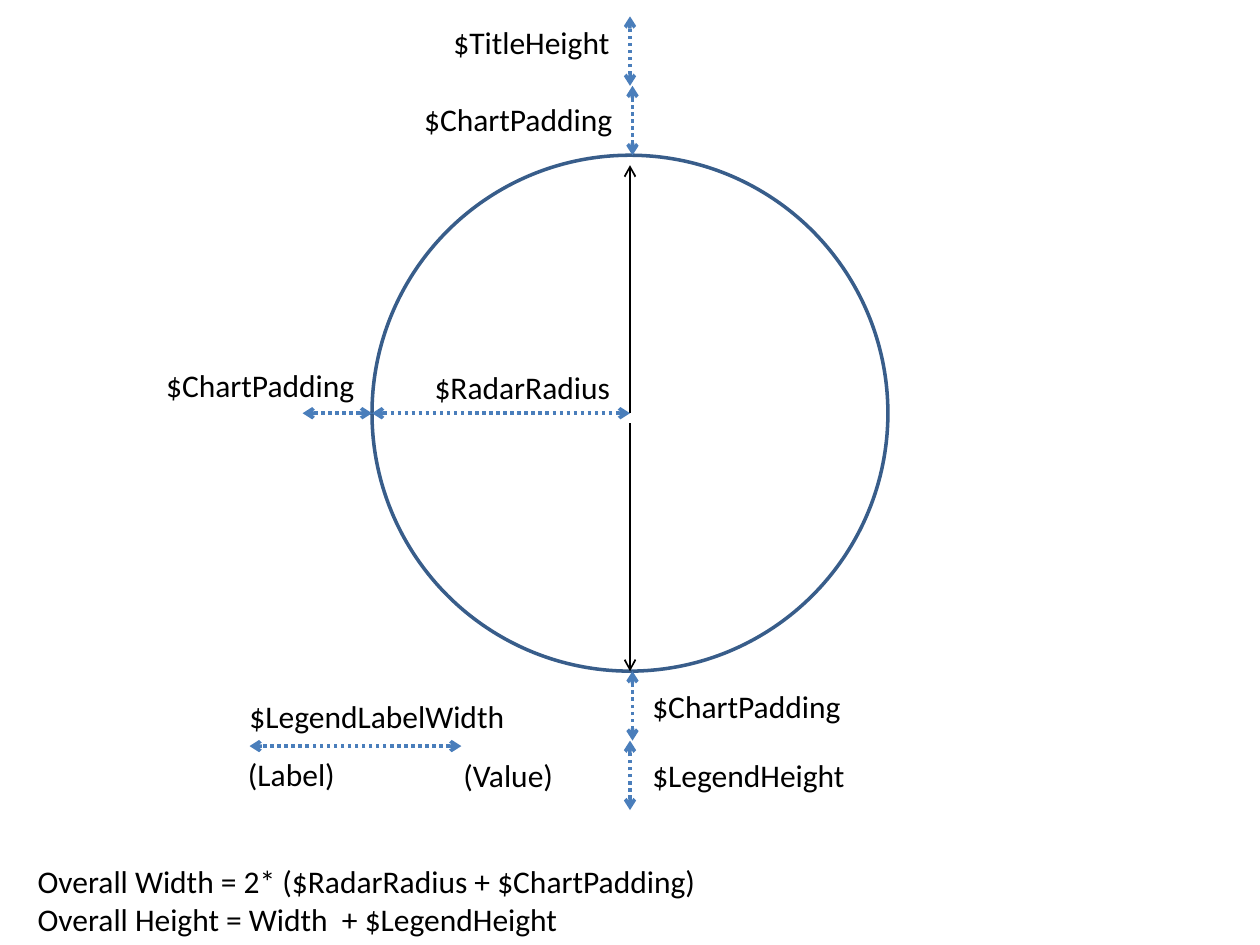
from lxml import etree
from pptx import Presentation
from pptx.dml.color import RGBColor
from pptx.enum import dml, shapes
from pptx.oxml import ns
from pptx.util import Cm, Pt

COLORS = {"text": "000000", "axis": "000000", "measure": "4A7EBB", "circle": "385D8A"}
FONT = "Calibri"

# Layout in centimetres
CENTER_X, CENTER_Y = 12.7, 8.33
RADIUS = 5.2
BAND = 1.4  # chart padding, title height and legend height
LINE_HEIGHT = 1.02
LEFT, TOP, BOTTOM = CENTER_X - RADIUS, CENTER_Y - RADIUS, CENTER_Y + RADIUS
PADDING_X = CENTER_X + 0.05
NOTE_X = CENTER_X + 0.2

# Each line: start x, start y, end x, end y
AXES = [
    (CENTER_X, CENTER_Y, CENTER_X, TOP + 0.2),
    (CENTER_X, CENTER_Y + 0.2, CENTER_X, BOTTOM),
]
MEASURES = [
    (LEFT, CENTER_Y, CENTER_X, CENTER_Y),
    (LEFT - BAND, CENTER_Y, LEFT, CENTER_Y),
    (PADDING_X, TOP, PADDING_X, TOP - BAND),
    (CENTER_X, TOP - BAND, CENTER_X, TOP - 2 * BAND),
    (PADDING_X, BOTTOM + BAND, PADDING_X, BOTTOM),
    (CENTER_X, BOTTOM + 2 * BAND, CENTER_X, BOTTOM + BAND),
    (9.3, 15.04, 5.03, 15.04),
]

# Each label: left, top, width, lines
LABELS = [
    (CENTER_X - 4.19, 7.29, 4.19, ["$RadarRadius"]),
    (LEFT - 4.4, 7.26, 4.4, ["$ChartPadding"]),
    (CENTER_X - 4.4, 1.9, 4.4, ["$ChartPadding"]),
    (CENTER_X - 3.81, 0.33, 3.81, ["$TitleHeight"]),
    (NOTE_X, 13.72, 4.4, ["$ChartPadding"]),
    (NOTE_X, 15.11, 4.57, ["$LegendHeight"]),
    (4.78, 13.92, 6.12, ["$LegendLabelWidth"]),
    (4.75, 15.09, 4.42, ["(Label)"]),
    (9.09, 15.11, 2.51, ["(Value)"]),
    (0.51, 17.25, 14.6, [
        "Overall Width = 2* ($RadarRadius + $ChartPadding)",
        "Overall Height = Width  + $LegendHeight",
    ]),
]


def color(name):
    return RGBColor.from_string(COLORS[name])


def add_arrow(slide, ends, color_name, width, heads, dash=None):
    """Draw a line; heads lists its arrow ends, headEnd before tailEnd."""
    arrow = slide.shapes.add_connector(
        shapes.MSO_CONNECTOR.STRAIGHT, *[Cm(value) for value in ends])
    arrow.line.color.rgb = color(color_name)
    arrow.line.width = Pt(width)
    if dash:
        arrow.line.dash_style = dash
    properties = arrow.element.spPr
    outline = properties.find(ns.qn("a:ln"))
    for head in heads:
        etree.SubElement(outline, ns.qn("a:" + head), type="arrow")
    etree.SubElement(properties, ns.qn("a:effectLst"))


def add_label(slide, left, top, width, lines):
    height = LINE_HEIGHT + 0.76 * (len(lines) - 1)
    box = slide.shapes.add_textbox(Cm(left), Cm(top), Cm(width), Cm(height))
    frame = box.text_frame
    frame.word_wrap = True
    frame.text = "\n".join(lines)
    for paragraph in frame.paragraphs:
        paragraph.font.name = FONT
        paragraph.font.size = Pt(18)
        paragraph.font.color.rgb = color("text")


def add_radar_circle(slide):
    circle = slide.shapes.add_shape(
        shapes.MSO_SHAPE.OVAL, Cm(LEFT), Cm(TOP), Cm(2 * RADIUS), Cm(2 * RADIUS))
    circle.shadow.inherit = False
    circle.fill.background()
    circle.line.color.rgb = color("circle")
    circle.line.width = Pt(2)


def main():
    presentation = Presentation()
    presentation.slide_width, presentation.slide_height = Cm(25.4), Cm(19.05)
    slide = presentation.slides.add_slide(presentation.slide_layouts[6])
    add_radar_circle(slide)
    for ends in AXES:
        add_arrow(slide, ends, "axis", 1, ["tailEnd"])
    for ends in MEASURES:
        add_arrow(slide, ends, "measure", 2, ["headEnd", "tailEnd"],
                  dml.MSO_LINE.ROUND_DOT)
    for label in LABELS:
        add_label(slide, *label)
    presentation.save("out.pptx")


if __name__ == "__main__":
    main()
